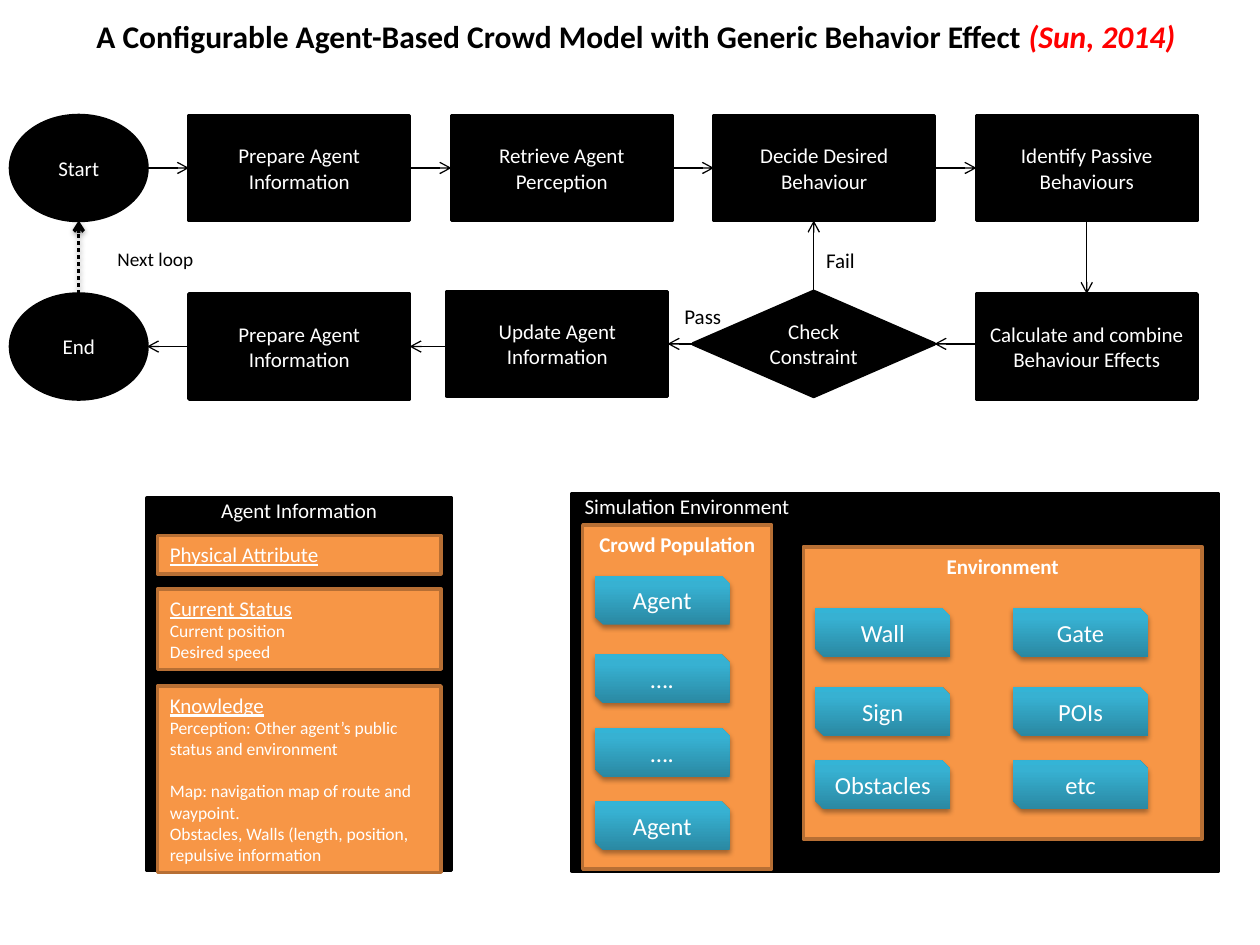
from lxml import etree
from pptx import Presentation
from pptx import util as u
from pptx.dml.color import RGBColor
from pptx.enum import dml, shapes, text
from pptx.oxml.ns import qn

Pt = u.Pt
KIND = shapes.MSO_SHAPE
LEFT, MID = text.PP_ALIGN.LEFT, text.PP_ALIGN.CENTER
TOP, CORE = text.MSO_ANCHOR.TOP, text.MSO_ANCHOR.MIDDLE
HUE = {"ink": "000000", "page": "FFFFFF", "box": "F79646", "edge": "B76F34",
       "low": "2A88A2", "mid": "37B1D2", "high": "34B4D6", "cite": "FF0000"}
N, W, S, E = range(4)  # connection sites of a rectangle


def tint(name):
    return RGBColor.from_string(HUE[name])


def node(root, tag, **attrs):
    """Append a DrawingML element to root."""
    return etree.SubElement(root, qn("a:" + tag), {k: str(v) for k, v in attrs.items()})


def write(shape, words, size=12, hue="page", align=MID, bold=False, slant=False,
          under=False, gap=0, same=False):
    """Add words as a new paragraph, or to the last one if same is True."""
    frame = shape.text_frame
    para = frame.paragraphs[-1]
    if para.runs and not same:
        para = frame.add_paragraph()
    para.alignment = align
    if gap:
        para.space_before = Pt(gap)
    run = para.add_run()
    run.text = words
    font = run.font
    font.name, font.size, font.bold, font.italic = "Calibri", Pt(size), bold, slant
    font.underline = under
    font.color.rgb = tint(hue)
    return para


def draw(into, kind, box, fill="ink", edge="ink", anchor=CORE):
    shape = into.add_shape(kind, *map(Pt, box))
    shape.shadow.inherit = False
    shape.fill.solid()
    shape.fill.fore_color.rgb = tint(fill)
    shape.line.color.rgb = tint(edge)
    shape.line.width = Pt(2)
    shape.text_frame.word_wrap = True
    shape.text_frame.vertical_anchor = anchor
    return shape


def label(into, words, box, **form):
    shape = into.add_textbox(*map(Pt, box))
    shape.text_frame.word_wrap = True
    return write(shape, words, hue="ink", align=LEFT, **form), shape


def shade(effects, alpha, drop):
    cast = node(effects, "outerShdw", blurRad=Pt(3.1), dist=Pt(drop), dir=5400000,
                rotWithShape=0)
    node(node(cast, "srgbClr", val=HUE["ink"]), "alpha", val=alpha * 1000)


def site(end):
    """Turn (shape, side) into a point; leave a point as it is."""
    part, side = end
    if isinstance(part, (int, float)):
        return Pt(part), Pt(side)
    x, y = ((1, 0), (0, 1), (1, 2), (2, 1))[side]
    return part.left + part.width * x // 2, part.top + part.height * y // 2


def arrow(into, start, end, width=0.75, dotted=False):
    line = into.add_connector(shapes.MSO_CONNECTOR.STRAIGHT, *site(start), *site(end))
    for (part, side), join in ((start, line.begin_connect), (end, line.end_connect)):
        if not isinstance(part, (int, float)) and part.auto_shape_type != KIND.OVAL:
            join(part, side)
    line.line.color.rgb = tint("ink")
    line.line.width = Pt(width)
    if dotted:
        line.line.dash_style = dml.MSO_LINE.ROUND_DOT
    node(line.line._get_or_add_ln(), "tailEnd", type="arrow")
    effects = node(line._element.spPr, "effectLst")
    if dotted:
        shade(effects, 38, 1.6)


def step(into, kind, words, box):
    shape = draw(into, kind, box)
    write(shape, words)
    return shape


def flow(into, x, y):
    """The loop of steps, with its top left corner at x, y."""
    high, low = y, y + 102
    cols = [x + 102 + 150 * i for i in range(4)]
    start, end = (step(into, KIND.OVAL, words, (x, top, 78, 60))
                  for words, top in (("Start", high), ("End", low)))
    names = ("Prepare Agent Information", "Retrieve Agent Perception",
             "Decide Desired Behaviour", "Identify Passive Behaviours")
    row = [step(into, KIND.RECTANGLE, words, (left, high, 126, 60))
           for words, left in zip(names, cols)]
    sums = step(into, KIND.RECTANGLE, "Calculate and combine Behaviour Effects",
                (cols[3], low, 126, 60))
    check = step(into, KIND.DIAMOND, "Check Constraint", (x + 390, low - 1.5, 138, 60))
    renew = step(into, KIND.RECTANGLE, "Update Agent Information",
                 (x + 249.5, low - 1.5, 126, 60))
    again = step(into, KIND.RECTANGLE, names[0], (cols[0], low, 126, 60))

    for a, b in zip([start] + row, row):
        arrow(into, (a, E), (b, W))
    arrow(into, (row[3], S), (sums, N))
    arrow(into, (cols[3], low + 28.5), (check, E))
    arrow(into, (check, N), (x + 459, high + 60))
    arrow(into, (check, W), (renew, E))
    arrow(into, (x + 249.5, low + 30), (again, E))
    arrow(into, (again, W), (end, E))
    arrow(into, (end, N), (start, S), width=2, dotted=True)
    label(into, "Next loop", (x + 54, y + 72, 60, 21), size=11)
    label(into, "Fail", (x + 459, y + 72, 45, 22))
    label(into, "Pass", (x + 378, y + 104, 45, 22))


def panel(into, words, box, align):
    """A black region with its heading at the top edge."""
    shape = draw(into, KIND.RECTANGLE, box, anchor=TOP)
    shape.text_frame.margin_top = 0
    write(shape, words, align=align)


def card(into, box):
    return draw(into, KIND.RECTANGLE, box, "box", "edge", TOP)


def agent(into, x, y):
    panel(into, "Agent Information", (x, y, 174, 213), MID)
    # top, height, heading, then lines with the space before each
    cards = ((21.5, 22, "Physical Attribute", ()),
             (52, 46, "Current Status", (("Current position", 0), ("Desired speed", 0))),
             (107.5, 106.5, "Knowledge",
              (("Perception: Other agent’s public status and environment", 0),
               ("Map: navigation map of route and waypoint.", 12),
               ("Obstacles, Walls (length, position, repulsive information", 0))))
    for top, tall, head, lines in cards:
        shape = card(into, (x + 6, y + top, 162, tall))
        write(shape, head, align=LEFT, under=True)
        for words, gap in lines:
            write(shape, words, size=10, align=LEFT, gap=gap)


def tag(into, words, x, y):
    shape = draw(into, KIND.SNIP_2_DIAG_RECTANGLE, (x, y, 77, 28))
    shape.line.fill.background()
    shape.fill.background()
    props = shape._element.spPr
    ramp = node(props, "gradFill", rotWithShape=1)
    stops = node(ramp, "gsLst")
    for pos, name in ((0, "low"), (80, "mid"), (100, "high")):
        node(node(stops, "gs", pos=pos * 1000), "srgbClr", val=HUE[name])
    node(ramp, "lin", ang=16200000, scaled=0)
    props.replace(props.find(qn("a:noFill")), ramp)
    shade(props.find(qn("a:effectLst")), 35, 1.8)
    write(shape, words, size=14)


def group(into, head, box, tops, cols):
    """A card with a bold heading and columns of tags."""
    write(card(into, box), head, bold=True)
    x, y = box[:2]
    for i, names in enumerate(cols):
        for words, top in zip(names, tops):
            tag(into, words, x + 7 + 113 * i, y + top)


def world(into, x, y):
    panel(into, "Simulation Environment", (x, y, 369, 216), LEFT)
    group(into, "Crowd Population", (x + 6, y + 18, 108, 196.5), (29, 74, 116, 158),
          (("Agent", "….", "….", "Agent"),))
    group(into, "Environment", (x + 132, y + 30.5, 228, 167), (35, 80, 122),
          (("Wall", "Sign", "Obstacles"), ("Gate", "POIs", "etc")))


def title(into, box):
    para, shape = label(
        into, "A Configurable Agent-Based Crowd Model with Generic Behavior Effect ",
        box, size=18, bold=True)
    para._p.get_or_add_pPr().set("marL", str(Pt(36)))
    write(shape, "(Sun, 2014)", size=18, hue="cite", align=LEFT, bold=True,
          slant=True, same=True)


def main():
    deck = Presentation()
    deck.slide_width, deck.slide_height = Pt(720), Pt(540)
    into = deck.slides.add_slide(deck.slide_layouts[6]).shapes
    flow(into, 6, 66)
    agent(into.add_group_shape().shapes, 84, 284.5)
    world(into.add_group_shape().shapes, 327, 282)
    title(into, (12, 6, 702, 29))
    deck.save("out.pptx")


if __name__ == "__main__":
    main()
